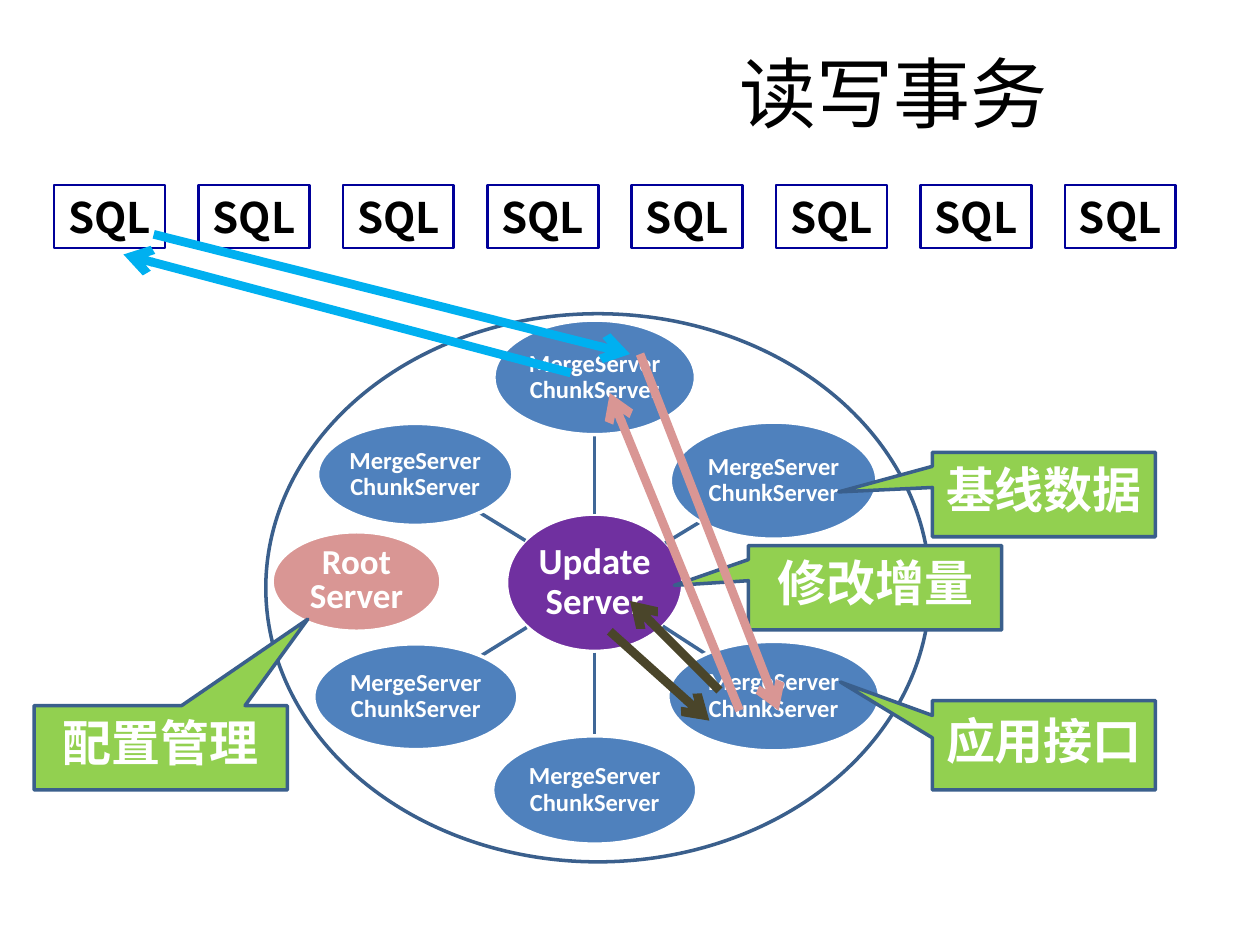
from dataclasses import dataclass

from lxml.etree import SubElement
from pptx import Presentation
from pptx.dml.color import RGBColor
from pptx.enum.shapes import MSO_CONNECTOR as Link, MSO_SHAPE as Shape
from pptx.enum.text import MSO_ANCHOR as Anchor, MSO_AUTO_SIZE as AutoSize, PP_ALIGN as Align
from pptx.oxml.ns import qn
from pptx.util import Inches, Pt

# The slide is a grid of 100 columns by 75 rows of square cells.
COLUMNS, ROWS = 100, 75
CELL = Inches(0.1)


@dataclass(frozen=True)
class Theme:
    latin: str = "Calibri"
    chinese: str = "Noto Sans CJK SC"
    ink: str = "000000"
    white: str = "FFFFFF"
    blue: str = "4F81BD"
    purple: str = "7030A0"
    pink: str = "D99694"
    green: str = "92D050"
    outline: str = "3A5F8C"
    spoke: str = "3F6797"
    navy: str = "000099"
    sky: str = "00B0F0"
    olive: str = "4A452A"
    title_size: int = 44
    callout_size: int = 28
    sql_size: int = 24
    hub_size: int = 21
    root_size: int = 20
    node_size: int = 14
    thin: float = 1.5
    line: float = 2
    arrow: float = 5


THEME = Theme()
MERGE_CHUNK = ("MergeServer", "ChunkServer")

# left, top, width, height
NODES = [
    (39.2, 25.4, 16, 9.1),
    (53.2, 33.5, 16.4, 9.3),
    (53, 50.9, 16.8, 8.7),
    (39.1, 58.4, 16.2, 8.6),
    (24.9, 51.1, 16.2, 8.4),
    (25.2, 33.6, 15.5, 8.1),
]
# start column, start row, end column, end row
SPOKES = [
    (47.2, 40.8, 47.2, 34.5),
    (52.8, 43.1, 55.6, 41.4),
    (52.6, 49.7, 56, 51.9),
    (47.2, 51.8, 47.2, 58.4),
    (41.8, 49.8, 38.1, 52.1),
    (41.7, 42.9, 38.1, 40.7),
]
# text, cells, pointer tip as shares of the callout's size
CALLOUTS = [
    ("修改增量", (59.4, 43.3, 20.1, 6.7), (-0.793, -0.028)),
    ("应用接口", (74, 55.6, 17.7, 7.1), (-0.912, -0.707)),
    ("基线数据", (74, 35.9, 17.7, 6.7), (-0.92, -0.031)),
]
CONFIG_CALLOUT = ("配置管理", (2.7, 56, 20.1, 6.7), (0.581, -1.523))
ARROWS = [
    ((57.1, 54.8, 50, 47.7), THEME.olive),
    ((12.2, 18.6, 50, 28.1), THEME.sky),
    ((50.8, 28.1, 61.8, 56.4), THEME.pink),
    ((58.7, 56.4, 48.4, 31.2), THEME.pink),
    ((48.4, 50.1, 56.3, 57.2), THEME.olive),
    ((45.3, 29.6, 9.8, 20.2), THEME.sky),
]


def cells(*numbers):
    return [round(number * CELL) for number in numbers]


def color(code):
    return RGBColor.from_string(code)


def write(box, lines, size, latin, ink=THEME.white, bold=True, spacing=None):
    """Fill a shape with centred lines, one paragraph each."""
    frame = box.text_frame
    frame.auto_size = AutoSize.NONE
    frame.vertical_anchor = Anchor.MIDDLE
    for index, line in enumerate(lines):
        para = frame.add_paragraph() if index else frame.paragraphs[0]
        para.alignment = Align.CENTER
        para.line_spacing = spacing
        span = para.add_run()
        span.text = line
        span.font.size = Pt(size)
        span.font.bold = bold
        span.font.name = latin
        span.font.color.rgb = color(ink)
        SubElement(span.font._element, qn("a:ea"), typeface=THEME.chinese)


def add_box(page, kind, area, fill, outline, width=THEME.line):
    box = page.shapes.add_shape(kind, *cells(*area))
    box.shadow.inherit = False
    if fill:
        box.fill.solid()
        box.fill.fore_color.rgb = color(fill)
    else:
        box.fill.background()
    box.line.color.rgb = color(outline)
    box.line.width = Pt(width)
    return box


def add_server(page, area, fill, lines, size, spacing=0.9):
    server = add_box(page, Shape.OVAL, area, fill, THEME.white)
    frame = server.text_frame
    frame.word_wrap = False
    frame.margin_left = frame.margin_right = Inches(0.01)
    frame.margin_top = frame.margin_bottom = Inches(0.01)
    write(server, lines, size, THEME.latin, spacing=spacing)


def add_callout(page, text, area, tip):
    callout = add_box(page, Shape.RECTANGULAR_CALLOUT, area, THEME.green, THEME.outline)
    for index, share in enumerate(tip):
        callout.adjustments[index] = share
    write(callout, [text], THEME.callout_size, THEME.chinese, spacing=0.8)


def add_line(page, ends, ink, width, arrow=False):
    line = page.shapes.add_connector(Link.STRAIGHT, *cells(*ends))
    line.line.color.rgb = color(ink)
    line.line.width = Pt(width)
    properties = line._element.spPr
    if arrow:
        SubElement(properties.find(qn("a:ln")), qn("a:tailEnd"), type="arrow")
    SubElement(properties, qn("a:effectLst"))


def add_sql_row(page, count=8, left=4.3, pitch=11.46):
    for index in range(count):
        area = (left + index * pitch, 14.7, 8.8, 5)
        box = add_box(page, Shape.RECTANGLE, area, None, THEME.navy, THEME.thin)
        box.text_frame.word_wrap = False
        write(box, ["SQL"], THEME.sql_size, THEME.chinese, THEME.ink)


def add_cluster(page):
    """Draw the update server with its ring of merge and chunk servers."""
    add_server(page, (40.2, 40.8, 14, 10.9), THEME.purple, ("Update", "Server"), THEME.hub_size)
    for spoke, node in zip(SPOKES, NODES):
        add_line(page, spoke, THEME.spoke, THEME.line)
        add_server(page, node, THEME.blue, MERGE_CHUNK, THEME.node_size)
    add_box(page, Shape.OVAL, (21.1, 24.9, 52.7, 43.5), None, THEME.outline)


def set_title(page, text):
    title = page.shapes.title
    title.left, title.top, title.width, title.height = cells(46.9, 3, 48.1, 8.5)
    write(title, [text], THEME.title_size, THEME.latin, THEME.ink, bold=False)


def main():
    deck = Presentation()
    deck.slide_width, deck.slide_height = cells(COLUMNS, ROWS)
    page = deck.slides.add_slide(deck.slide_layouts[5])
    set_title(page, "读写事务")
    add_cluster(page)
    for callout in CALLOUTS:
        add_callout(page, *callout)
    add_sql_row(page)
    for ends, ink in ARROWS:
        add_line(page, ends, ink, THEME.arrow, arrow=True)
    add_server(page, (21.6, 42.2, 13.4, 7.9), THEME.pink, ("Root", "Server"), THEME.root_size, 0.8)
    add_callout(page, *CONFIG_CALLOUT)
    deck.save("out.pptx")


if __name__ == "__main__":
    main()
